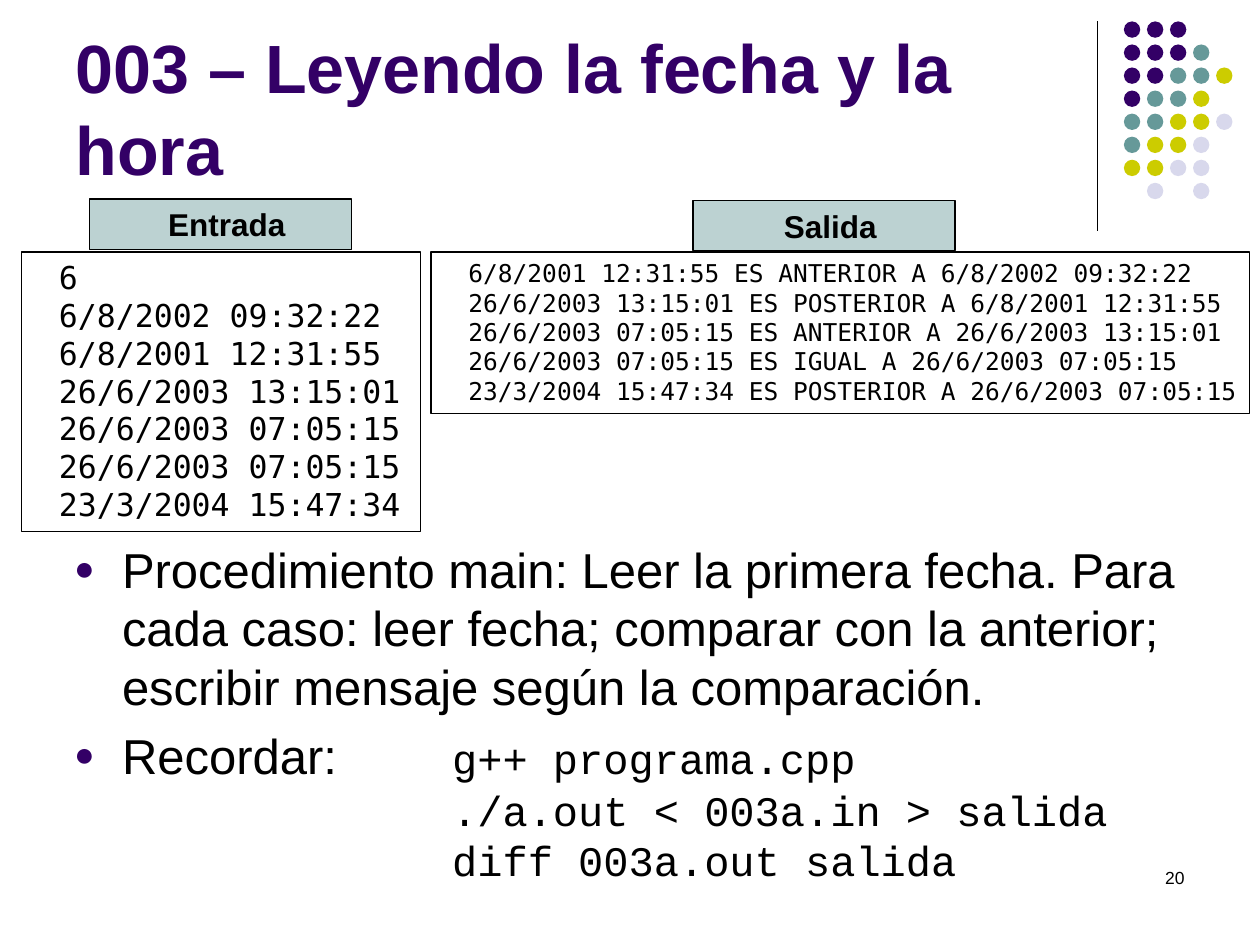
from lxml.etree import SubElement
from pptx import Presentation
from pptx.dml.color import RGBColor
from pptx.enum.shapes import MSO_CONNECTOR as Connector, MSO_SHAPE as Preset
from pptx.enum.text import MSO_ANCHOR as Anchor, MSO_AUTO_SIZE as AutoSize, PP_ALIGN as Align
from pptx.oxml.ns import qn
from pptx.util import Inches, Pt

# Content
TITLE = "003 – Leyendo la fecha y la hora"
PAGE_NUMBER = "20"
INPUT_LINES = [
    "6",
    "6/8/2002 09:32:22",
    "6/8/2001 12:31:55",
    "26/6/2003 13:15:01",
    "26/6/2003 07:05:15",
    "26/6/2003 07:05:15",
    "23/3/2004 15:47:34",
]
OUTPUT_LINES = [
    "6/8/2001 12:31:55 ES ANTERIOR A 6/8/2002 09:32:22",
    "26/6/2003 13:15:01 ES POSTERIOR A 6/8/2001 12:31:55",
    "26/6/2003 07:05:15 ES ANTERIOR A 26/6/2003 13:15:01",
    "26/6/2003 07:05:15 ES IGUAL A 26/6/2003 07:05:15",
    "23/3/2004 15:47:34 ES POSTERIOR A 26/6/2003 07:05:15",
]
# lines, size, list box, heading, heading box, list fill
PANELS = [
    (INPUT_LINES, 18, (0.17, 2, 3.17, 2.22), "Entrada", (0.71, 1.58, 2.08, 0.4), None),
    (OUTPUT_LINES, 14, (3.42, 2, 6.5, 1.28), "Salida", (5.5, 1.59, 2.08, 0.4), "FFFFFF"),
]
PROCEDURE = ("Procedimiento main: Leer la primera fecha. Para cada caso: leer fecha; "
             "comparar con la anterior; escribir mensaje según la comparación.")
REMINDER = "Recordar:\t"
COMMANDS = ["g++ programa.cpp", "./a.out < 003a.in > salida", "diff 003a.out salida"]

# Dot pattern: one letter per dot, a space where there is none
DOT_ROWS = ["PPP", "PPPT", "PPTTY", "PTTY", "TTYYL", "TYYL", "YYLL", " L L"]
DOT_COLORS = {"P": "330066", "T": "669999", "Y": "CCCC00", "L": "D8D8EC"}
DOT_LEFT, DOT_TOP, DOT_SIZE, DOT_PITCH = 8.92, 0.17, 0.13, 0.183

PURPLE, BLACK, HEADING_FILL = "330066", "000000", "BCD2D2"
SANS, CODE, MONO = "Arial", "Courier New", "DejaVu Sans Mono"
LINE_FACTOR = 1.2


def rgb(hex_color):
    return RGBColor.from_string(hex_color)


def write(paragraph, text, size=18, font=SANS, color=BLACK, bold=False,
          align=Align.LEFT, indent=0, hanging=0, before=0):
    """Add a run to the paragraph and set the paragraph's layout."""
    run = paragraph.add_run()
    run.text = text
    run.font.size, run.font.name, run.font.bold = Pt(size), font, bold
    run.font.color.rgb = rgb(color)
    paragraph.alignment = align
    paragraph.space_before = Pt(before)
    paragraph.line_spacing = Pt(round(size * LINE_FACTOR, 1))
    properties = paragraph._p.get_or_add_pPr()
    properties.set("marL", str(Inches(indent)))
    properties.set("indent", str(-Inches(hanging)))
    properties.set("defTabSz", str(Inches(1)))


def add_bullet(paragraph):
    properties = paragraph._p.get_or_add_pPr()
    color = SubElement(properties, qn("a:buClr"))
    SubElement(color, qn("a:srgbClr"), val=PURPLE)
    SubElement(properties, qn("a:buSzPct"), val="70000")
    SubElement(properties, qn("a:buFont"), typeface=SANS)
    SubElement(properties, qn("a:buChar"), char="●")


def add_shape(slide, preset, box, fill=None, line=None):
    shape = slide.shapes.add_shape(preset, *map(Inches, box))
    shape.shadow.inherit = False
    if fill:
        shape.fill.solid()
        shape.fill.fore_color.rgb = rgb(fill)
    else:
        shape.fill.background()
    if line:
        shape.line.color.rgb = rgb(line)
        shape.line.width = Pt(0.75)
    else:
        shape.line.fill.background()
    return shape


def add_text_frame(slide, box):
    frame = slide.shapes.add_textbox(*map(Inches, box)).text_frame
    frame.word_wrap = True
    return frame


def next_paragraph(frame, first):
    return frame.paragraphs[0] if first else frame.add_paragraph()


def add_decoration(slide):
    divider = slide.shapes.add_connector(
        Connector.STRAIGHT, Inches(8.71), Inches(0.17), Inches(8.71), Inches(1.83))
    divider.line.color.rgb = rgb(BLACK)
    divider.line.width = Pt(0.75)
    SubElement(divider._element.spPr, qn("a:effectLst"))
    for row, dots in enumerate(DOT_ROWS):
        for column, dot in enumerate(dots):
            if dot in DOT_COLORS:
                box = (DOT_LEFT + column * DOT_PITCH, DOT_TOP + row * DOT_PITCH,
                       DOT_SIZE, DOT_SIZE)
                add_shape(slide, Preset.OVAL, box, DOT_COLORS[dot])


def add_title(slide):
    title = slide.shapes.title
    title.left, title.top, title.width, title.height = map(Inches, (0.5, 0.13, 8.25, 1.42))
    frame = title.text_frame
    frame.auto_size = AutoSize.NONE
    frame.word_wrap = True
    frame.vertical_anchor = Anchor.BOTTOM
    write(frame.paragraphs[0], TITLE, size=39, color=PURPLE, bold=True)


def add_explanation(slide):
    frame = add_text_frame(slide, (0.49, 4.23, 9.18, 2.69))
    for index, text in enumerate([PROCEDURE, REMINDER]):
        bullet = next_paragraph(frame, index == 0)
        write(bullet, text, size=28, indent=0.38, hanging=0.38, before=5.6)
        add_bullet(bullet)
    # The first command shares the reminder's line
    command_run = bullet.add_run()
    command_run.text = COMMANDS[0]
    command_run.font.size, command_run.font.name = Pt(24), CODE
    command_run.font.color.rgb = rgb(BLACK)
    for command in COMMANDS[1:]:
        write(frame.add_paragraph(), command, size=24, font=CODE, indent=3)


def add_panel(slide, lines, size, list_box, heading, heading_box, fill):
    listing = add_shape(slide, Preset.RECTANGLE, list_box, fill, BLACK).text_frame
    listing.word_wrap = True
    listing.vertical_anchor = Anchor.TOP
    listing.margin_right = 0
    for index, line in enumerate(lines):
        write(next_paragraph(listing, index == 0), line, size=size, font=MONO, indent=0.2)
    label = add_shape(slide, Preset.RECTANGLE, heading_box, HEADING_FILL, BLACK).text_frame
    label.vertical_anchor = Anchor.MIDDLE
    write(label.paragraphs[0], heading, bold=True, align=Align.CENTER, indent=0.1)


def main():
    deck = Presentation()
    deck.slide_width, deck.slide_height = Inches(10), Inches(7.5)
    slide = deck.slides.add_slide(deck.slide_layouts[5])
    add_decoration(slide)
    add_title(slide)
    add_explanation(slide)
    number = add_text_frame(slide, (7.17, 6.83, 2.33, 0.5))
    write(number.paragraphs[0], PAGE_NUMBER, size=10, align=Align.RIGHT)
    for panel in PANELS:
        add_panel(slide, *panel)
    deck.save("out.pptx")


if __name__ == "__main__":
    main()
